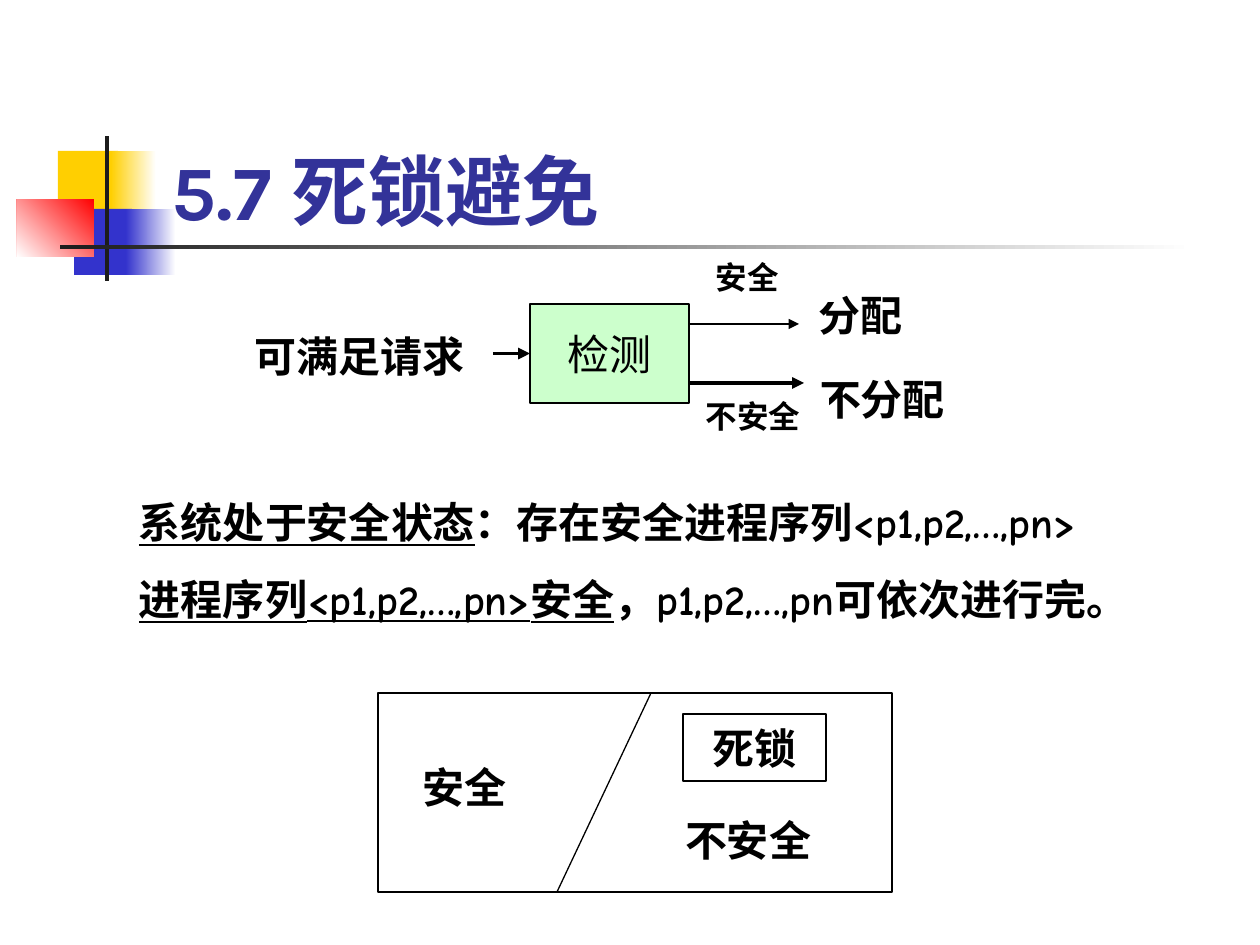
"""Build the slide on deadlock avoidance."""
from lxml.etree import SubElement
from pptx import Presentation
from pptx.dml.color import RGBColor
from pptx.enum.shapes import MSO_CONNECTOR, MSO_SHAPE
from pptx.enum.text import MSO_ANCHOR, PP_ALIGN
from pptx.oxml.ns import qn
from pptx.util import Emu, Pt

TITLE = ("5.7 死锁避免", (159, 84, 1073, 158))
DECOR = [
    ((58, 151, 60, 66), "FFCF01", None),
    ((111, 151, 45, 66), "FFCF01", 0),
    ((74, 209, 58, 66), "3333CC", None),
    ((126, 209, 50, 66), "3333CC", 0),
    ((17, 199, 77, 58), "FF0000", 225),
    ((105, 136, 4, 145), "1C1C1C", None),
    ((60, 245, 1134, 4), "1C1C1C", 0),
]
FLOW_LABELS = [
    ("可满足请求", (242, 325, 252, 63), 24, 13),
    ("分配", (788, 284, 136, 63), 24, 31),
    ("不分配", (766, 368, 210, 63), 24, 53),
    ("安全", (703, 252, 136, 50), 18, 13),
    ("不安全", (693, 391, 136, 50), 18, 13),
]
CHECK = ("检测", (530, 304, 159, 99))
OUTCOMES = [((689, 324), (799, 324), 1.5), ((689, 383), (804, 383), 2.25)]
BODY_AT = (126, 491, 1029, 140)
BODY = [
    [("系统处于安全状态", True), ("：存在安全进程序列<p1,p2,…,pn>", False)],
    [("进程序列<p1,p2,…,pn>安全", True), ("，p1,p2,…,pn可依次进行完。", False)],
]
STATES_AT = (378, 693, 514, 199)
DIVIDER = ((651, 693), (557, 892))
STATE_LABELS = [("安全", (410, 756, 126, 63)), ("不安全", (672, 809, 168, 63))]
DEADLOCK = ("死锁", (683, 714, 143, 67))


def px(n):
    return Emu(round(n * 914400 / 126))


def rgb(value):
    return RGBColor.from_string(value)


def add_box(s, at, fill, line=None, angle=None):
    sp = s.shapes.add_shape(MSO_SHAPE.RECTANGLE, *map(px, at))
    sp.shadow.inherit = False
    if angle is None:
        sp.fill.solid()
        sp.fill.fore_color.rgb = rgb(fill)
    else:
        sp.fill.gradient()
        sp.fill.gradient_angle = angle
        for stop, color in zip(sp.fill.gradient_stops, (fill, "FFFFFF")):
            stop.color.rgb = rgb(color)
    if line:
        sp.line.color.rgb = rgb(line)
        sp.line.width = Pt(0.75)
    else:
        sp.line.fill.background()
    return sp


def write(sp, paragraphs, size=24, font="Times New Roman", color="000000", bold=True,
          align=PP_ALIGN.LEFT, anchor=MSO_ANCHOR.TOP, wrap=True, left=13, before=15):
    tf = sp.text_frame
    tf.word_wrap = wrap
    tf.vertical_anchor = anchor
    tf.margin_left, tf.margin_right = px(left), px(13)
    tf.margin_top = tf.margin_bottom = px(6)
    if isinstance(paragraphs, str):
        paragraphs = [[(paragraphs, False)]]
    for i, runs in enumerate(paragraphs):
        p = tf.add_paragraph() if i else tf.paragraphs[0]
        p.alignment = align
        if i:
            p.space_before = Pt(before)
        for text, underline in runs:
            r = p.add_run()
            r.text = text
            r.font.name, r.font.size, r.font.bold = font, Pt(size), bold
            r.font.color.rgb = rgb(color)
            if underline:
                r.font.underline = True


def add_line(s, start, end, width=0.75, arrow=False):
    c = s.shapes.add_connector(MSO_CONNECTOR.STRAIGHT, *map(px, start + end))
    c.line.color.rgb = rgb("000000")
    c.line.width = Pt(width)
    spPr = c.element.spPr
    if arrow:
        SubElement(spPr.find(qn("a:ln")), qn("a:tailEnd"), type="triangle")
    SubElement(spPr, qn("a:effectLst"))
    return c


def main():
    prs = Presentation()
    prs.slide_width, prs.slide_height = px(1260), px(945)
    s = prs.slides.add_slide(prs.slide_layouts[6])
    centred = {"align": PP_ALIGN.CENTER, "anchor": MSO_ANCHOR.MIDDLE, "wrap": False}

    for at, color, angle in DECOR:
        add_box(s, at, color, angle=angle)
    text, at = TITLE
    write(s.shapes.add_textbox(*map(px, at)), text, size=44, font="Karla",
          color="333399", anchor=MSO_ANCHOR.BOTTOM)

    for text, at, size, left in FLOW_LABELS:
        write(add_box(s, at, "FFFFFF"), text, size=size, left=left)
    text, at = CHECK
    check = add_box(s, at, "CCFFCC", line="000000")
    write(check, text, font="Karla", bold=False, **centred)
    x, y, w, h = at
    request = add_line(s, (493, y + h / 2), (x, y + h / 2), 2.25, arrow=True)
    request.end_connect(check, 1)
    for start, end, width in OUTCOMES:
        add_line(s, start, end, width, arrow=True)

    write(s.shapes.add_textbox(*map(px, BODY_AT)), BODY, font="Comic Neue")

    add_box(s, STATES_AT, "FFFFFF", line="000000")
    add_line(s, *DIVIDER)
    for text, at in STATE_LABELS:
        write(add_box(s, at, "FFFFFF"), text)
    text, at = DEADLOCK
    write(add_box(s, at, "FFFFFF", line="000000"), text, **centred)

    prs.save("out.pptx")


if __name__ == "__main__":
    main()
